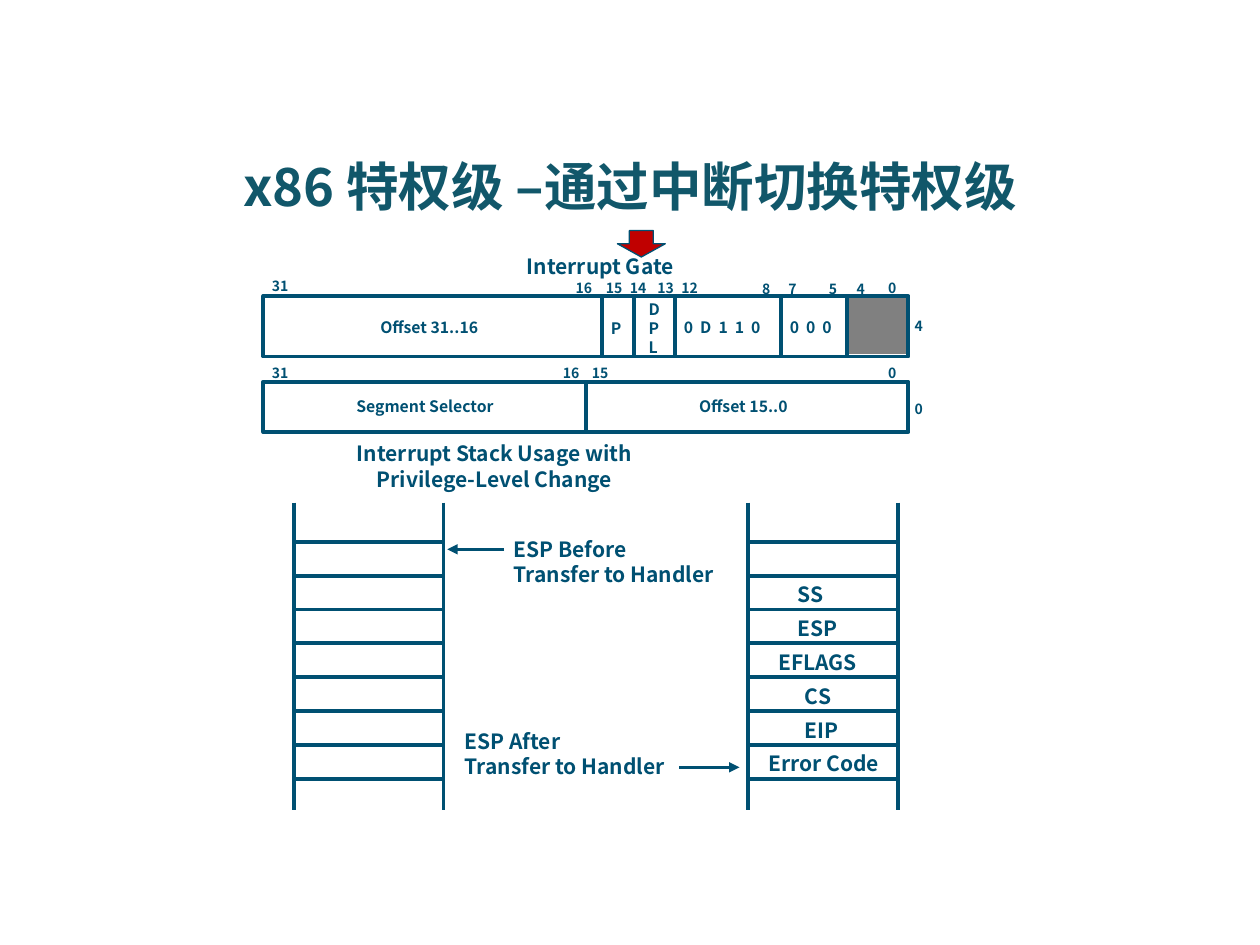
from lxml import etree
from pptx import Presentation
from pptx.dml.color import RGBColor
from pptx.enum import shapes, text
from pptx.oxml import ns
from pptx.util import Inches, Pt

FONT = "Noto Sans CJK SC"
NAVY = RGBColor(0x00, 0x50, 0x72)
TEAL = RGBColor(0x11, 0x57, 0x6A)
GRAY = RGBColor(0x80, 0x80, 0x80)
RED = RGBColor(0xC0, 0x00, 0x00)

TITLE = "x86 特权级 –通过中断切换特权级"

# Gate descriptor words: left, top, width, height
GATE_LEFT, GATE_WIDTH = 2.09, 5.12
HIGH_TOP, HIGH_HEIGHT = 2.35, 0.48
LOW_TOP, LOW_HEIGHT = 3.03, 0.4
HIGH_DIVIDERS = [(4.78, 0), (5.03, 0), (5.36, 0), (6.2, 0.01), (6.72, 0.01)]

# Bit numbers: top of the row, then (number, left, width)
BIT_ROWS = [
    (2.15, [("31", 2.06, 0.46)]),
    (2.17, [("16", 4.47, 0.4), ("15", 4.71, 0.4), ("14", 4.9, 0.4),
            ("13", 5.12, 0.4), ("12", 5.31, 0.4), ("0", 6.95, 0.33)]),
    (2.18, [("8", 5.95, 0.23), ("7", 6.16, 0.23),
            ("5", 6.48, 0.23), ("4", 6.7, 0.23)]),
    (2.47, [("4", 7.16, 0.42)]),
    (2.84, [("31", 2.06, 0.46), ("16", 4.37, 0.4),
            ("15", 4.6, 0.4), ("0", 6.95, 0.25)]),
    (3.13, [("0", 7.16, 0.25)]),
]

# Fields: lines, left, top, width, height, letter spacing in points
FIELDS = [
    (["Offset 31..16"], 2.92, 2.47, 1.1, 0.25, 0),
    (["P"], 4.75, 2.48, 0.25, 0.25, 0),
    (["D", "P", "L"], 5.05, 2.33, 0.34, 0.56, 0),
    (["0 D 1 1 0"], 5.33, 2.47, 1.1, 0.25, 1),
    (["0 0 0"], 6.17, 2.47, 1.1, 0.25, 1),
    (["Segment Selector"], 2.73, 3.1, 1.53, 0.25, 0),
    (["Offset 15..0"], 5.45, 3.1, 1.41, 0.25, 0),
]

# Captions: lines, left, top, width, height, alignment
LEFT, CENTER = text.PP_ALIGN.LEFT, text.PP_ALIGN.CENTER
CAPTIONS = [
    (["Interrupt Gate"], 4.06, 1.96, 1.41, 0.3, CENTER),
    (["Interrupt Stack Usage with", "Privilege-Level Change"],
     2.69, 3.45, 2.47, 0.5, CENTER),
    (["ESP Before", "Transfer to Handler"], 3.98, 4.21, 1.85, 0.5, LEFT),
    (["ESP After", "Transfer to Handler"], 3.59, 5.73, 1.85, 0.5, LEFT),
]
POINTERS = [(4, 4.36, 3.55, 4.36), (5.39, 6.09, 5.87, 6.09)]

STACK_LEFTS = [2.33, 5.94]
STACK_WIDTH, STACK_TOP, STACK_BOTTOM = 1.19, 3.99, 6.43
FIRST_RULE, LAST_RULE, RULE_COUNT = 4.3, 6.18, 8
# Pushed values, from the third slot down: label, left, width
PUSHED = [("SS", 6.23, 0.46), ("ESP", 6.23, 0.56), ("EFLAGS", 6.08, 0.93),
          ("CS", 6.29, 0.47), ("EIP", 6.29, 0.52), ("Error Code", 6, 1.11)]


def write(holder, lines, size, color=NAVY, align=LEFT, wrap=True, spacing=0):
    frame = holder.text_frame
    frame.word_wrap = wrap
    frame.auto_size = text.MSO_AUTO_SIZE.SHAPE_TO_FIT_TEXT
    frame.vertical_anchor = text.MSO_ANCHOR.TOP
    for i, line in enumerate(lines):
        paragraph = frame.add_paragraph() if i else frame.paragraphs[0]
        paragraph.alignment = align
        run = paragraph.add_run()
        run.text = line
        run.font.size, run.font.bold, run.font.name = Pt(size), True, FONT
        run.font.color.rgb = color
        properties = run.font._element
        if spacing:
            properties.set("spc", str(int(spacing * 100)))
        east_asian = etree.SubElement(properties, ns.qn("a:ea"))
        east_asian.set("typeface", FONT)


def add_label(slide, lines, box, size, **style):
    write(slide.shapes.add_textbox(*map(Inches, box)), lines, size, **style)


def add_block(slide, kind, box, fill=None, line_width=None):
    block = slide.shapes.add_shape(kind, *map(Inches, box))
    block.shadow.inherit = False
    if fill is None:
        block.fill.background()
    else:
        block.fill.solid()
        block.fill.fore_color.rgb = fill
    if line_width is None:
        block.line.fill.background()
    else:
        block.line.color.rgb = NAVY
        block.line.width = Pt(line_width)
    return block


def add_rule(slide, x1, y1, x2, y2, width=2.25, arrow=False):
    rule = slide.shapes.add_connector(
        shapes.MSO_CONNECTOR.STRAIGHT, *map(Inches, (x1, y1, x2, y2)))
    rule.line.color.rgb = NAVY
    rule.line.width = Pt(width)
    if arrow:
        head = etree.SubElement(rule.line._get_or_add_ln(), ns.qn("a:tailEnd"))
        head.set("type", "triangle")
    etree.SubElement(rule._element.spPr, ns.qn("a:effectLst"))
    return rule


def draw_gate(slide):
    rectangle = shapes.MSO_SHAPE.RECTANGLE
    add_block(slide, rectangle, (6.73, 2.34, 0.47, 0.47), fill=GRAY)
    add_block(slide, rectangle, (GATE_LEFT, HIGH_TOP, GATE_WIDTH, HIGH_HEIGHT),
              line_width=2.25)
    low_word = add_block(
        slide, rectangle, (GATE_LEFT, LOW_TOP, GATE_WIDTH, LOW_HEIGHT),
        line_width=2.25)
    middle = GATE_LEFT + GATE_WIDTH / 2
    halves = add_rule(slide, middle, LOW_TOP, middle, LOW_TOP + LOW_HEIGHT)
    halves.begin_connect(low_word, 0)
    halves.end_connect(low_word, 2)
    for x, drop in HIGH_DIVIDERS:
        top = HIGH_TOP + drop
        add_rule(slide, x, top, x, top + HIGH_HEIGHT)
    for top, numbers in BIT_ROWS:
        for number, left, width in numbers:
            add_label(slide, [number], (left, top, width, 0.24), 8)
    for lines, *box, spacing in FIELDS:
        add_label(slide, lines, box, 9, spacing=spacing)
    add_block(slide, shapes.MSO_SHAPE.DOWN_ARROW, (4.9, 1.83, 0.38, 0.21),
              fill=RED, line_width=0.75)


def draw_stacks(slide):
    pitch = (LAST_RULE - FIRST_RULE) / (RULE_COUNT - 1)
    for left in STACK_LEFTS:
        right = left + STACK_WIDTH
        for x in (left, right):
            add_rule(slide, x, STACK_TOP, x, STACK_BOTTOM)
        for i in range(RULE_COUNT):
            y = FIRST_RULE + i * pitch
            add_rule(slide, left, y, right, y)
    for i, (value, left, width) in enumerate(PUSHED, start=1):
        add_label(slide, [value], (left, FIRST_RULE + i * pitch, width, 0.3),
                  12, wrap=False)
    for pointer in POINTERS:
        add_rule(slide, *pointer, width=1.5, arrow=True)


def main():
    deck = Presentation()
    deck.slide_width, deck.slide_height = Inches(10), Inches(7.5)
    slide = deck.slides.add_slide(deck.slide_layouts[5])
    title = slide.shapes.title
    title.left, title.top = Inches(0), Inches(1.17)
    title.width, title.height = Inches(10), Inches(0.61)
    write(title, [TITLE], 30, color=TEAL, align=CENTER)
    draw_gate(slide)
    draw_stacks(slide)
    for lines, *box, align in CAPTIONS:
        add_label(slide, lines, box, 12, align=align, wrap=False)
    deck.save("out.pptx")


if __name__ == "__main__":
    main()
